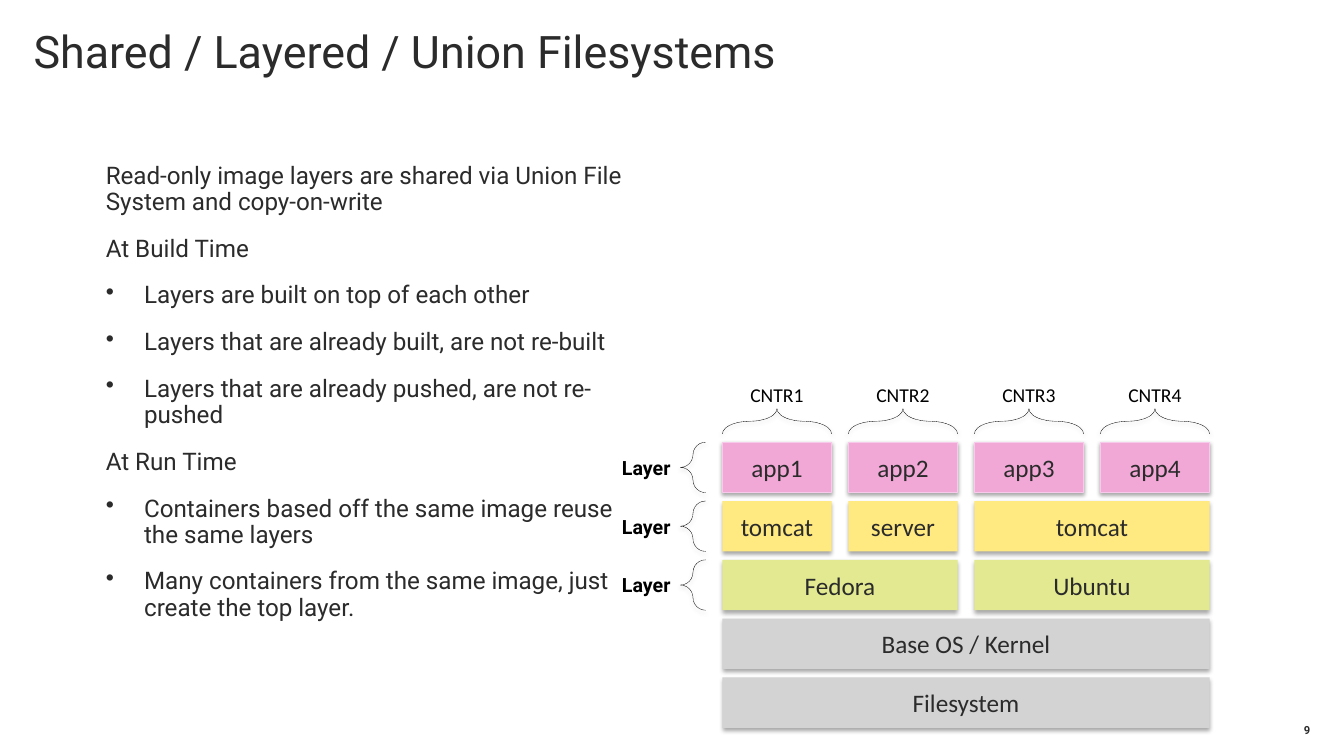
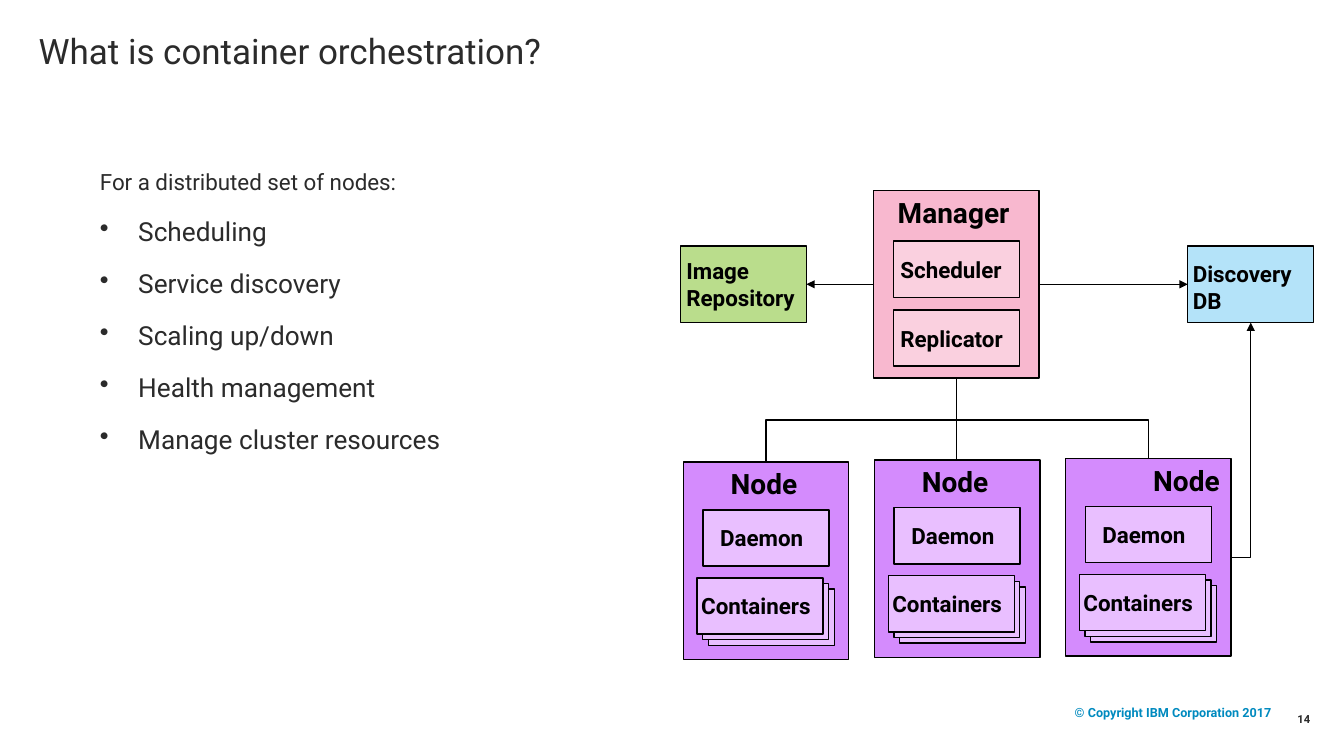
from dataclasses import dataclass

from lxml.etree import SubElement
from pptx import Presentation
from pptx.dml.color import RGBColor
from pptx.enum.dml import MSO_LINE
from pptx.enum.shapes import MSO_CONNECTOR as Connector, MSO_SHAPE as Preset
from pptx.enum.text import MSO_ANCHOR as Anchor, MSO_AUTO_SIZE as AutoSize, PP_ALIGN as Align
from pptx.oxml.ns import qn
from pptx.util import Inches, Pt

# The page is a grid of 160 columns by 90 rows, each 1/12 inch.
COLUMNS, ROWS = 160, 90
COLOURS = {
    "ink": "2B2B2B", "black": "000000", "copyright": "008ABF",
    "grey": "D3D3D3", "lime": "E2E990", "yellow": "FFE981",
    "pink": "F1A8D6", "pink edge": "F7C9EB",
    "manager": "F8B8CF", "manager part": "FAD0DF",
    "node": "D48BFD", "node part": "E9BFFF",
    "discovery": "B4E3F9", "repository": "BADD8C",
}


def grid(value):
    return Inches(value / 12)


def colour(name):
    return RGBColor.from_string(COLOURS[name])


@dataclass
class Box:
    """A rectangle in grid units."""
    left: float
    top: float
    width: float
    height: float

    @property
    def right(self):
        return self.left + self.width

    @property
    def bottom(self):
        return self.top + self.height

    @property
    def centre(self):
        return self.left + self.width / 2

    @property
    def middle(self):
        return self.top + self.height / 2

    def inner(self, left, top, width, height):
        return Box(self.left + left, self.top + top, width, height)

    def emu(self):
        return [grid(v) for v in (self.left, self.top, self.width, self.height)]


def set_frame(frame, insets=(0, 0, 0, 0), anchor=Anchor.TOP):
    """Insets are left, top, right and bottom, in inches."""
    sides = ("margin_left", "margin_top", "margin_right", "margin_bottom")
    values = dict(zip(sides, map(Inches, insets)))
    values.update(word_wrap=True, auto_size=AutoSize.NONE, vertical_anchor=anchor)
    for name, value in values.items():
        setattr(frame, name, value)


def write(para, text, size, ink="ink", face="Roboto", bold=False, align=Align.LEFT):
    para.alignment = align
    span = para.add_run()
    span.text = text
    for name, value in {"size": Pt(size), "name": face, "bold": bold}.items():
        setattr(span.font, name, value)
    span.font.color.rgb = colour(ink)


def add_text(page, box, text, size, insets=(0, 0, 0, 0), anchor=Anchor.TOP, **style):
    frame = page.shapes.add_textbox(*box.emu()).text_frame
    set_frame(frame, insets, anchor)
    write(frame.paragraphs[0], text, size, **style)


def add_bullet(para):
    properties = para._p.get_or_add_pPr()
    properties.set("marL", str(Inches(0.38)))
    properties.set("indent", str(-Inches(0.38)))
    SubElement(properties, qn("a:buChar"), char="•")


def add_body(page, box, lines, line_spacing=None):
    """Each line is its text, its size and whether it has a bullet."""
    frame = page.shapes.add_textbox(*box.emu()).text_frame
    set_frame(frame)
    for index, (text, size, bulleted) in enumerate(lines):
        para = frame.add_paragraph() if index else frame.paragraphs[0]
        if bulleted:
            add_bullet(para)
        para.space_before = Pt(14.7 if index else 0)
        para.line_spacing = line_spacing
        write(para, text, size)


def add_page(deck, title, size, number, number_middle, inset=0):
    page = deck.slides.add_slide(deck.slide_layouts[5])
    heading = page.shapes.title
    heading.left, heading.top, heading.width, heading.height = Box(4, 3.5, 92, 6.7).emu()
    set_frame(heading.text_frame, [inset] * 4)
    para = heading.text_frame.paragraphs[0]
    para.line_spacing = 0.9
    write(para, title, size)
    add_text(page, Box(120, number_middle - 1, 36, 2), number, 8,
             anchor=Anchor.MIDDLE, bold=True, align=Align.RIGHT)
    return page


def set_line(shape, ink, width):
    shape.line.color.rgb = colour(ink)
    shape.line.width = Pt(width)


def add_shape(page, box, fill=None, line=None, width=1, preset=Preset.RECTANGLE):
    shape = page.shapes.add_shape(preset, *box.emu())
    shape.shadow.inherit = False
    if fill:
        shape.fill.solid()
        shape.fill.fore_color.rgb = colour(fill)
    else:
        shape.fill.background()
    if line:
        set_line(shape, line, width)
    else:
        shape.line.fill.background()
    return shape


def cast_shadow(shape, opacity):
    effects = shape._element.spPr.find(qn("a:effectLst"))
    shadow = SubElement(effects, qn("a:outerShdw"), blurRad=str(Pt(3.1)), dist=str(Pt(1.8)),
                        dir="5400000", rotWithShape="0")
    ink = SubElement(shadow, qn("a:srgbClr"), val=COLOURS["black"])
    SubElement(ink, qn("a:alpha"), val=str(opacity * 1000))


def add_brace(page, box, curve, rotation=0):
    brace = add_shape(page, box, line="black", width=0.25, preset=Preset.LEFT_BRACE)
    brace.adjustments[0] = curve
    brace.adjustments[1] = 0.5
    brace.rotation = rotation
    brace.line.dash_style = MSO_LINE.SQUARE_DOT
    cast_shadow(brace, 38)


def add_layer_stack(page, box):
    """Draws rows of layers on four columns, with braces above and at the left."""
    column, column_gap, row, row_gap = 13, 2, 6, 1
    layers = [
        ("pink", "pink edge", [("app1", 1), ("app2", 1), ("app3", 1), ("app4", 1)]),
        ("yellow", None, [("tomcat", 1), ("server", 1), ("tomcat", 2)]),
        ("lime", None, [("Fedora", 2), ("Ubuntu", 2)]),
        ("grey", None, [("Base OS / Kernel", 4)]),
        ("grey", None, [("Filesystem", 4)]),
    ]
    for level, (fill, edge, cells) in enumerate(layers):
        start, top = 0, level * (row + row_gap)
        for text, spread in cells:
            width = spread * (column + column_gap) - column_gap
            cell = box.inner(start * (column + column_gap), top, width, row)
            block = add_shape(page, cell, fill, edge, 0.75)
            cast_shadow(block, 35)
            set_frame(block.text_frame, anchor=Anchor.MIDDLE)
            write(block.text_frame.paragraphs[0], text, 18, face="Calibri", align=Align.CENTER)
            start += spread
        if level < 3:
            add_brace(page, box.inner(-5, top, 3, row), 0.5)
            add_text(page, box.inner(-15, top, 10, row), "Layer", 14, (0, 0, 0.1, 0),
                     Anchor.MIDDLE, ink="black", bold=True, align=Align.RIGHT)
    for index in range(4):
        left = index * (column + column_gap)
        add_text(page, box.inner(left, -7.7, column, 4), f"CNTR{index + 1}", 14,
                 (0, 0.05, 0, 0), ink="black", face="Calibri", align=Align.CENTER)
        add_brace(page, box.inner(left + 5, -9, 3, column), 1.33, 90)


def add_panel(page, box, fill, text, size, left=0.0, top=0.0, anchor=Anchor.MIDDLE):
    panel = add_shape(page, box, fill, "black")
    set_frame(panel.text_frame, (left, top, 0, 0), anchor)
    write(panel.text_frame.paragraphs[0], text, size, ink="black", bold=True)


def add_manager(page, box):
    add_panel(page, box, "manager", "Manager", 20, 0.24, 0.05, Anchor.TOP)
    for index, text in enumerate(("Scheduler", "Replicator")):
        add_panel(page, box.inner(2.35, 6 + 8.2 * index, 15, 6.7), "manager part", text, 16, 0.07)


def add_node(page, box, title_inset):
    add_panel(page, box, "node", "Node", 20, title_inset, 0.05, Anchor.TOP)
    add_panel(page, box.inner(2.35, 5.7, 15, 6.7), "node part", "Daemon", 16, 0.17)
    for depth in (2, 1):
        shift = 0.66 * depth
        add_shape(page, box.inner(1.65 + shift, 13.8 + shift, 15, 6.7), "node part", "black")
    add_panel(page, box.inner(1.65, 13.8, 15, 6.7), "node part", "Containers", 16, 0.04)


def add_arrowhead(shape):
    SubElement(shape._element.spPr.find(qn("a:ln")), qn("a:tailEnd"), type="triangle")


def add_route(page, points, arrow=False):
    """Joins points with a straight connector, or with an open outline when it bends."""
    places = [(grid(x), grid(y)) for x, y in points]
    if len(places) == 2:
        route = page.shapes.add_connector(Connector.STRAIGHT, *places[0], *places[1])
        set_line(route, "black", 1)
        SubElement(route._element.spPr, qn("a:effectLst"))
    else:
        builder = page.shapes.build_freeform(*places[0])
        builder.add_line_segments(places[1:], close=False)
        route = builder.convert_to_shape()
        route.shadow.inherit = False
        route.fill.background()
        set_line(route, "black", 1)
    if arrow:
        add_arrowhead(route)


def add_cluster(page, box):
    manager = box.inner(23, 0, 19.7, 22.3)
    repository = box.inner(0, 6.6, 15, 9.1)
    discovery = box.inner(60.4, 6.6, 15, 9.1)
    nodes = [box.inner(0.35 + 22.75 * index, top, 19.7, 23.5)
             for index, top in enumerate((32.3, 32.05, 31.9))]
    add_manager(page, manager)
    for node, title_inset in zip(nodes, (0.47, 0.47, 0.87)):
        add_node(page, node, title_inset)
    add_panel(page, discovery, "discovery", "Discovery DB", 16, 0.05, 0.05)
    add_panel(page, repository, "repository", "Image Repository", 16, 0.06)

    fork = manager.bottom + 5
    start = (manager.centre, manager.bottom)
    for node in (nodes[0], nodes[2]):
        add_route(page, [start, (manager.centre, fork), (node.centre, fork),
                         (node.centre, node.top)])
    add_route(page, [start, (manager.centre, nodes[1].top)])
    last, level = nodes[2], discovery.middle
    add_route(page, [(last.right, last.middle), (discovery.centre, last.middle),
                     (discovery.centre, discovery.bottom)], arrow=True)
    add_route(page, [(manager.right, level), (discovery.left, level)], arrow=True)
    add_route(page, [(manager.left, level), (repository.right, level)], arrow=True)


def filesystems_page(deck):
    page = add_page(deck, "Shared / Layered / Union Filesystems", 32, "9", 86.9)
    lines = [
        ("Read-only image layers are shared via Union File System and copy-on-write", False),
        ("At Build Time", False),
        ("Layers are built on top of each other", True),
        ("Layers that are already built, are not re-built", True),
        ("Layers that are already pushed, are not re-pushed", True),
        ("At Run Time", False),
        ("Containers based off the same image reuse the same layers", True),
        ("Many containers from the same image, just create the top layer.", True),
    ]
    add_body(page, Box(12.6, 19.45, 61.5, 57.4),
             [(text, 17.3, bulleted) for text, bulleted in lines], 0.9)
    add_layer_stack(page, Box(86, 52.65, 58, 34))


def orchestration_page(deck):
    page = add_page(deck, "What is container orchestration?", 25, "14", 85.6, 0.05)
    tasks = ("Scheduling", "Service discovery", "Scaling up/down",
             "Health management", "Manage cluster resources")
    add_body(page, Box(11.9, 20, 66, 64),
             [("For a distributed set of nodes:", 16, False)]
             + [(task, 18.7, True) for task in tasks])
    add_cluster(page, Box(81, 22.7, 75.4, 56))
    add_text(page, Box(127.95, 83.9, 25.2, 2.3), "© Copyright IBM Corporation 2017", 9,
             ink="copyright", bold=True)


def main():
    deck = Presentation()
    deck.slide_width, deck.slide_height = grid(COLUMNS), grid(ROWS)
    filesystems_page(deck)
    orchestration_page(deck)
    deck.save("out.pptx")


if __name__ == "__main__":
    main()
